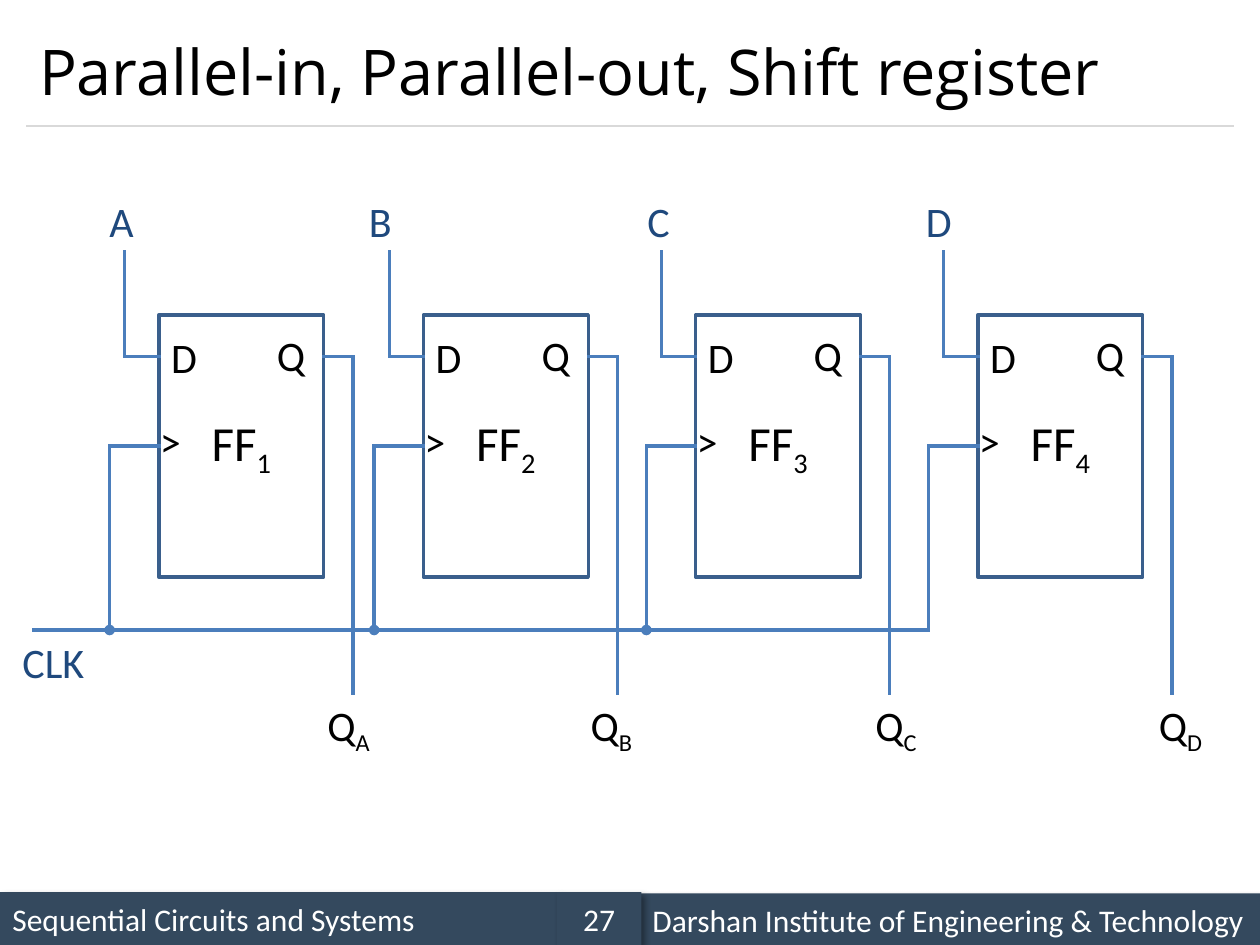
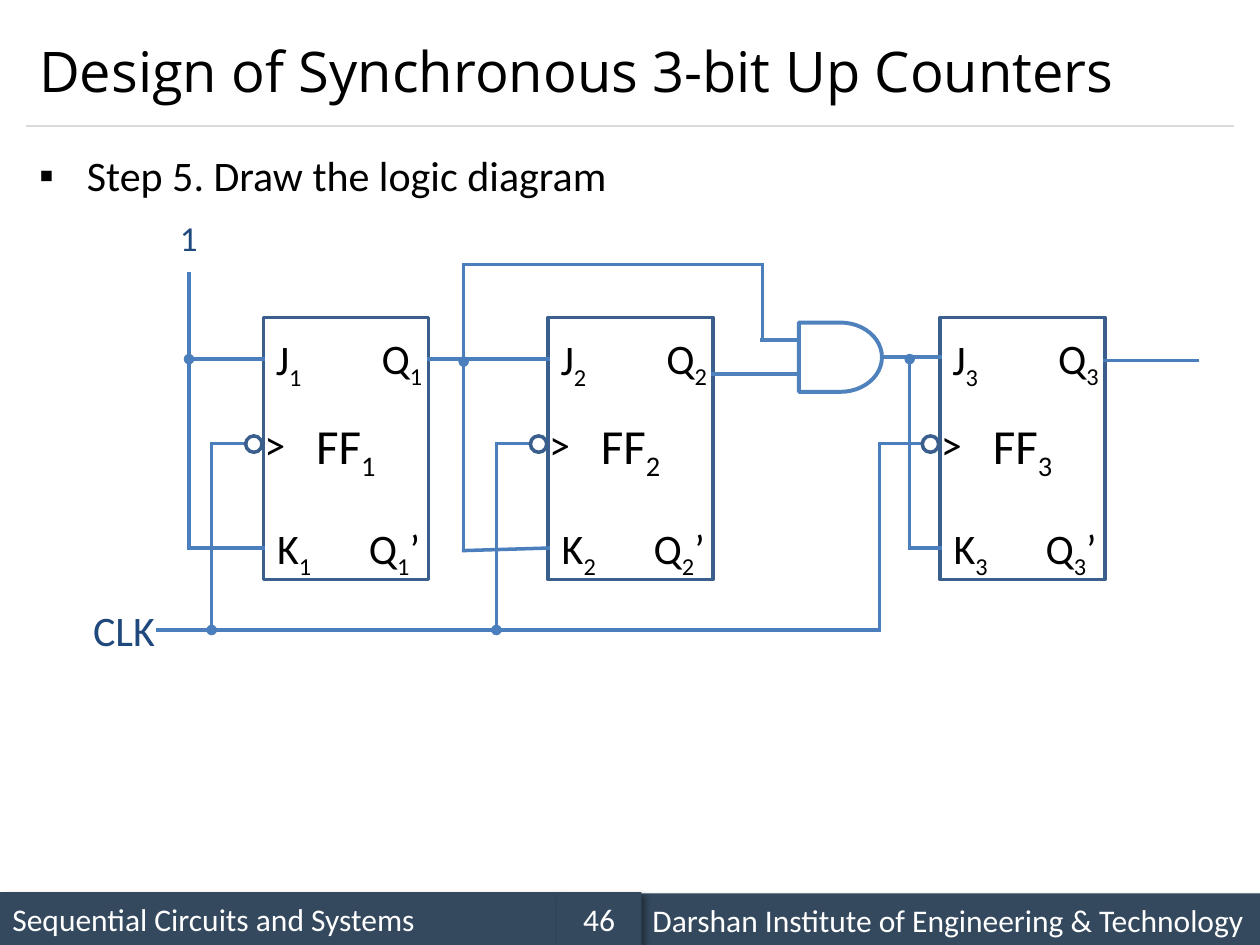
from dataclasses import dataclass
from itertools import pairwise

from lxml.etree import SubElement
from pptx import Presentation
from pptx.dml.color import RGBColor
from pptx.enum.shapes import MSO_CONNECTOR as Connector, MSO_SHAPE as Shape
from pptx.enum.text import MSO_ANCHOR as Anchor, MSO_AUTO_SIZE as AutoSize, PP_ALIGN as Align
from pptx.oxml.ns import qn
from pptx.util import Inches, Pt


@dataclass(frozen=True)
class Theme:
    heading_font: str = "Open Sans"
    body_font: str = "Calibri"
    ink: str = "000000"
    paper: str = "FFFFFF"
    band: str = "34495E"
    rule: str = "D9D9D9"
    signal: str = "1F497D"
    outline: str = "3A5F8C"
    wire: str = "4B7EBC"
    gate: str = "4F81BD"
    line_width: float = 2
    gate_width: float = 2.25
    name_size: int = 28
    text_size: int = 24
    small_size: int = 20
    footer_size: int = 18


@dataclass(frozen=True)
class Box:
    left: float
    top: float
    width: float
    height: float

    def inside(self, x, y, width, height):
        return Box(self.left + x, self.top + y, width, height)

    def point(self, x, y):
        return self.left + x, self.top + y

    def lengths(self):
        return [Inches(value) for value in (self.left, self.top, self.width, self.height)]


@dataclass(frozen=True)
class Stage:
    """One bit of the parallel register, with the places of its labels."""
    name: str
    left: float
    input_left: float
    output_left: float


THEME = Theme()
TITLE = Box(0.21, 0.12, 9.58, 0.88)
BODY = Box(0.21, 1.08, 9.58, 0.92)
DIAGRAM = Box(0, 1.5, 10, 4.5)
FOOTER = Box(0, 7.08, 10, 0.42)
FF_WIDTH, FF_HEIGHT = 1.31, 2.08

STAGES = [
    Stage("A", 1.26, 0.77, 2.5),
    Stage("B", 3.36, 2.83, 4.59),
    Stage("C", 5.52, 5.04, 6.85),
    Stage("D", 7.76, 7.25, 9.1),
]
# Pin text, x, y and width; "_" switches subscript on and off.
D_PINS = [("D", 0, 0.08, 0.41), ("Q", 0.84, 0.07, 0.43), (">", -0.09, 0.75, 0.37)]
JK_PINS = [
    ("J_{0}", 0, 0.08, 0.42),
    ("Q_{0}", 0.84, 0.07, 0.54),
    (">", -0.09, 0.75, 0.37),
    ("K_{0}", 0.01, 1.58, 0.49),
    ("Q_{0}_’", 0.74, 1.58, 0.63),
]


def style_font(font, size, color=THEME.ink, family=THEME.body_font):
    font.name = family
    font.size = Pt(size)
    font.color.rgb = RGBColor.from_string(color)


def write_label(para, text, size, color=THEME.ink):
    """Fill a paragraph, setting every second part between underscores as subscript."""
    for index, part in enumerate(text.split("_")):
        span = para.add_run()
        span.text = part
        style_font(span.font, size, color)
        if index % 2:
            span._r.get_or_add_rPr().set("baseline", "-25000")


def add_label(page, box, text, size=THEME.text_size, color=THEME.ink):
    frame = page.shapes.add_textbox(*box.lengths()).text_frame
    frame.word_wrap = False
    frame.auto_size = AutoSize.SHAPE_TO_FIT_TEXT
    write_label(frame.paragraphs[0], text, size, color)


def add_outline(page, kind, box, color=THEME.outline, width=THEME.line_width, fill=None):
    shape = page.shapes.add_shape(kind, *box.lengths())
    shape.shadow.inherit = False
    shape.line.color.rgb = RGBColor.from_string(color)
    shape.line.width = Pt(width)
    if fill:
        shape.fill.solid()
        shape.fill.fore_color.rgb = RGBColor.from_string(fill)
    else:
        shape.fill.background()
    return shape


def add_line(page, start, end, color, width):
    line = page.shapes.add_connector(
        Connector.STRAIGHT, *[Inches(value) for value in (*start, *end)])
    line.line.color.rgb = RGBColor.from_string(color)
    line.line.width = Pt(width)
    SubElement(line._element.spPr, qn("a:effectLst"))
    return line


def add_wire(page, box, *points, dot=False, color=THEME.wire, width=THEME.line_width):
    """Join the points by straight segments, with an optional dot at the first; return the last."""
    corners = [box.point(*point) for point in points]
    segments = [add_line(page, *ends, color, width) for ends in pairwise(corners)]
    for segment in segments:
        segment.line._get_or_add_ln().set("cap", "sq")
    if dot:
        SubElement(segments[0].line._get_or_add_ln(), qn("a:headEnd"), type="oval")
    return segments[-1]


def add_flip_flop(page, box, number, pins):
    body = add_outline(page, Shape.RECTANGLE, box)
    frame = body.text_frame
    frame.vertical_anchor = Anchor.MIDDLE
    para = frame.paragraphs[0]
    para.alignment = Align.CENTER
    write_label(para, f"FF_{number}", THEME.name_size)
    for text, x, y, width in pins:
        add_label(page, box.inside(x, y, width, 0.5), text.format(number))
    return body


def add_band(page, box, text, alignment=Align.LEFT):
    band = page.shapes.add_shape(Shape.RECTANGLE, *box.lengths())
    band.fill.solid()
    band.fill.fore_color.rgb = RGBColor.from_string(THEME.band)
    band.line.fill.background()
    band.shadow.inherit = False
    effects = band._element.spPr.find(qn("a:effectLst"))
    shadow = SubElement(effects, qn("a:outerShdw"), blurRad=str(Pt(4)), dist=str(Pt(3)),
                        dir="2700000", algn="tl", rotWithShape="0")
    shade = SubElement(shadow, qn("a:srgbClr"), val=THEME.ink)
    SubElement(shade, qn("a:alpha"), val="40000")
    frame = band.text_frame
    frame.vertical_anchor = Anchor.MIDDLE
    para = frame.paragraphs[0]
    para.text = text
    para.alignment = alignment
    style_font(para.runs[0].font, THEME.footer_size, THEME.paper)


def add_footer(page, box, number):
    add_band(page, box.inside(0, 0, 4.42, box.height), "Sequential Circuits and Systems")
    add_band(page, box.inside(5.08, 0.01, 4.92, box.height),
             "Darshan Institute of Engineering & Technology")
    add_band(page, box.inside(4.42, 0, 0.67, box.height), str(number), Align.CENTER)


def place(holder, box):
    holder.left, holder.top, holder.width, holder.height = box.lengths()
    holder.text_frame.auto_size = AutoSize.NONE


def add_page(deck, layout, title, size, number):
    page = deck.slides.add_slide(deck.slide_layouts.get_by_name(layout))
    add_footer(page, FOOTER, number)
    heading = page.shapes.title
    place(heading, TITLE)
    frame = heading.text_frame
    frame.text = title
    frame.vertical_anchor = Anchor.MIDDLE
    para = frame.paragraphs[0]
    para.alignment = Align.LEFT
    style_font(para.runs[0].font, size, family=THEME.heading_font)
    bottom = TITLE.top + TITLE.height
    add_line(page, (TITLE.left, bottom), (TITLE.left + TITLE.width, bottom), THEME.rule, 0.75)
    return page


def add_step(page, box, text):
    holder = page.placeholders[1]
    place(holder, box)
    holder.text_frame.text = text
    para = holder.text_frame.paragraphs[0]
    properties = para._p.get_or_add_pPr()
    properties.set("marL", str(Inches(0.38)))
    properties.set("indent", str(-Inches(0.38)))
    SubElement(properties, qn("a:buChar"), char="▪")
    para.alignment = Align.JUSTIFY
    para.line_spacing = 1.14
    para.space_before = Pt(0)
    style_font(para.runs[0].font, THEME.text_size)


def draw_register(page, box):
    rail, pin, ff_top = 3.5, 1.33, 1
    clock = ff_top + FF_HEIGHT / 2
    for number, stage in enumerate(STAGES, 1):
        left = stage.left
        body = add_flip_flop(page, box.inside(left, ff_top, FF_WIDTH, FF_HEIGHT), number, D_PINS)
        tap = left - 0.39
        clock_wire = add_wire(page, box, (tap, rail), (tap, clock), (left, clock),
                              dot=stage is not STAGES[-1])
        clock_wire.end_connect(body, 1)
        add_wire(page, box, (left - 0.27, 0.5), (left - 0.27, pin), (left, pin))
        add_wire(page, box, (left + FF_WIDTH, pin), (left + 1.54, pin), (left + 1.54, 4))
        add_label(page, box.inside(stage.input_left, 0, 0.4, 0.5), stage.name, color=THEME.signal)
        add_label(page, box.inside(stage.output_left, 4, 0.56, 0.5), f"Q_{stage.name}")
    add_wire(page, box, (0.27, rail), (STAGES[-1].left - 0.39, rail))
    add_label(page, box.inside(0.08, rail, 0.7, 0.5), "CLK", color=THEME.signal)


def draw_and_gate(page, box):
    """Draw the gate with its two input leads and its output lead."""
    style = {"color": THEME.gate, "width": THEME.gate_width}
    gate = add_outline(page, Shape.FLOWCHART_DELAY, box, **style)
    middle = box.height / 2
    add_wire(page, box, (-0.29, 0.14), (0, 0.14), **style)
    add_wire(page, box, (-0.68, 0.41), (0, 0.41), **style)
    output = add_wire(page, box, (box.width, middle), (1.12, middle), **style)
    output.begin_connect(gate, 3)


def draw_counter(page, box):
    rail, clock, j_pin, k_pin = 3.5, 2.02, 1.35, 2.85
    taps = {2.09: 1.68, 4.35: 3.94, 7.46: 6.98}
    last_tap = max(taps.values())
    for number, (left, tap) in enumerate(taps.items(), 1):
        add_flip_flop(page, box.inside(left, 1.02, FF_WIDTH, FF_HEIGHT), number, JK_PINS)
        add_wire(page, box, (tap, rail), (tap, clock), (left - 0.1, clock), dot=tap != last_tap)
        add_outline(page, Shape.OVAL, box.inside(left - 0.14, 1.96, 0.13, 0.13), fill=THEME.paper)
    add_wire(page, box, (1.25, rail), (last_tap, rail))
    add_label(page, box.inside(0.64, 3.25, 0.7, 0.5), "CLK", color=THEME.signal)

    add_label(page, box.inside(1.33, 0.17, 0.34, 0.44), "1", THEME.small_size, THEME.signal)
    add_wire(page, box, (1.5, 0.67), (1.5, k_pin), (2.09, k_pin))
    add_wire(page, box, (1.5, j_pin), (2.09, j_pin), dot=True)

    add_wire(page, box, (3.4, j_pin), (4.35, j_pin))
    add_wire(page, box, (3.68, 1.37), (3.68, 2.87), (4.35, k_pin), dot=True)
    add_wire(page, box, (3.68, j_pin), (3.68, 0.6), (6.05, 0.6), (6.05, 1.2))
    draw_and_gate(page, box.inside(6.34, 1.06, 0.66, 0.55))
    add_wire(page, box, (7.22, j_pin), (7.22, k_pin), (7.46, k_pin), dot=True)
    add_wire(page, box, (8.77, 1.36), (9.5, 1.36))


def main():
    deck = Presentation()
    deck.slide_width, deck.slide_height = Inches(10), Inches(7.5)

    register = add_page(deck, "Title Only", "Parallel-in, Parallel-out, Shift register", 36, 27)
    draw_register(register, DIAGRAM)

    counter = add_page(deck, "Title and Content", "Design of Synchronous 3-bit Up Counters", 32, 46)
    add_step(counter, BODY, "Step 5. Draw the logic diagram")
    draw_counter(counter, DIAGRAM)

    deck.save("out.pptx")


if __name__ == "__main__":
    main()
